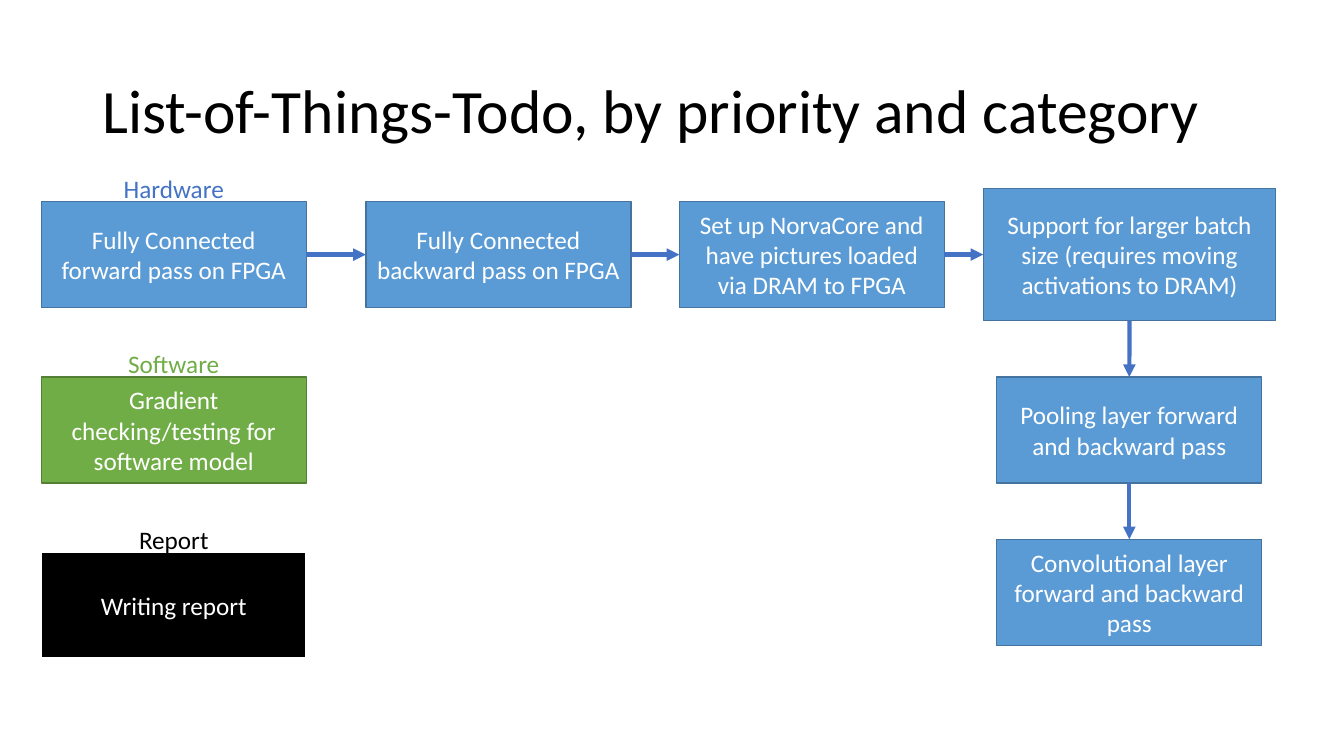
from itertools import pairwise

from lxml.etree import SubElement
from pptx import Presentation
from pptx.dml.color import RGBColor
from pptx.enum.shapes import MSO_CONNECTOR as Connector, MSO_SHAPE as Preset
from pptx.enum.text import MSO_ANCHOR as Anchor, PP_ALIGN as Align
from pptx.oxml.ns import qn
from pptx.util import Cm, Pt

COLORS = {
    "hardware": "5B9BD5", "hardware_edge": "43739E", "hardware_label": "4472C4",
    "software": "70AD47", "software_edge": "538035", "software_label": "70AD47",
    "report": "000000", "report_edge": "FFFFFF", "report_label": "000000",
    "title": "000000", "task_text": "FFFFFF", "arrow": "4472C4",
}
TASK_SIZE = (6.68, 2.67)
LARGE_TASK_SIZE = (7.37, 3.33)
LEFT, LAST_LEFT = 1.04, 25.12
TOP, SOFTWARE_TOP = 5.08, 9.5
TOP_SITE, LEFT_SITE, BOTTOM_SITE, RIGHT_SITE = range(4)


def rgb(key):
    """Return the named colour."""
    return RGBColor.from_string(COLORS[key])


def write(frame, wording, size, color, align=Align.CENTER):
    """Put one styled paragraph into a text frame and return it."""
    frame.word_wrap = True
    paragraph = frame.paragraphs[0]
    paragraph.text = wording
    paragraph.alignment = align
    paragraph.font.name = "Calibri"
    paragraph.font.size = Pt(size)
    paragraph.font.color.rgb = rgb(color)
    return paragraph


def add_title(slide, wording):
    """Add the slide title."""
    frame = slide.shapes.add_textbox(Cm(2.33), Cm(1.01), Cm(29.21), Cm(3.68)).text_frame
    frame.vertical_anchor = Anchor.MIDDLE
    write(frame, wording, 44, "title", Align.LEFT).line_spacing = 0.9


def add_task(slide, wording, left, top, category="hardware", size=TASK_SIZE, edge_width=1):
    """Add a task box in the colours of its category."""
    task = slide.shapes.add_shape(Preset.RECTANGLE, Cm(left), Cm(top), *map(Cm, size))
    task.shadow.inherit = False
    task.fill.solid()
    task.fill.fore_color.rgb = rgb(category)
    task.line.color.rgb = rgb(f"{category}_edge")
    task.line.width = Pt(edge_width)
    task.text_frame.vertical_anchor = Anchor.MIDDLE
    write(task.text_frame, wording, 18, "task_text")
    return task


def add_label(slide, category, task_top, width=3.4):
    """Add a category heading centred above its first task."""
    left = LEFT + (TASK_SIZE[0] - width) / 2
    label = slide.shapes.add_textbox(Cm(left), Cm(task_top - 0.84), Cm(width), Cm(1.02))
    write(label.text_frame, category.capitalize(), 18, f"{category}_label")


def add_arrow(slide, earlier, later, start_site, end_site):
    """Link two tasks with an arrow."""
    arrow = slide.shapes.add_connector(Connector.STRAIGHT, 0, 0, 0, 0)
    arrow.begin_connect(earlier, start_site)
    arrow.end_connect(later, end_site)
    arrow.line.color.rgb = rgb("arrow")
    arrow.line.width = Pt(3)
    SubElement(arrow.line._get_or_add_ln(), qn("a:tailEnd"), type="triangle")
    SubElement(arrow._element.spPr, qn("a:effectLst"))


def main():
    """Build and save the slide."""
    deck = Presentation()
    deck.slide_width, deck.slide_height = Cm(33.87), Cm(19.05)
    slide = deck.slides.add_slide(deck.slide_layouts[6])
    add_title(slide, "List-of-Things-Todo, by priority and category")

    across = [
        add_task(slide, wording, left, TOP)
        for wording, left in (
            ("Fully Connected forward pass on FPGA", LEFT),
            ("Fully Connected backward pass on FPGA", 9.22),
            ("Set up NorvaCore and have pictures loaded via DRAM to FPGA", 17.12),
        )
    ]
    larger_batch = add_task(
        slide, "Support for larger batch size (requires moving activations to DRAM)",
        24.78, 4.75, size=LARGE_TASK_SIZE)
    down = [
        add_task(slide, wording, LAST_LEFT, top)
        for wording, top in (
            ("Pooling layer forward and backward pass", SOFTWARE_TOP),
            ("Convolutional layer forward and backward pass", 13.59),
        )
    ]
    add_task(slide, "Gradient checking/testing for software model",
             LEFT, SOFTWARE_TOP, "software")
    report_top = 13.92
    add_task(slide, "Writing report", LEFT, report_top, "report", edge_width=1.5)

    for earlier, later in pairwise([*across, larger_batch]):
        add_arrow(slide, earlier, later, RIGHT_SITE, LEFT_SITE)
    for earlier, later in pairwise([larger_batch, *down]):
        add_arrow(slide, earlier, later, BOTTOM_SITE, TOP_SITE)

    add_label(slide, "hardware", TOP, 7.54)
    add_label(slide, "software", SOFTWARE_TOP)
    add_label(slide, "report", report_top)
    deck.save("out.pptx")


main()
